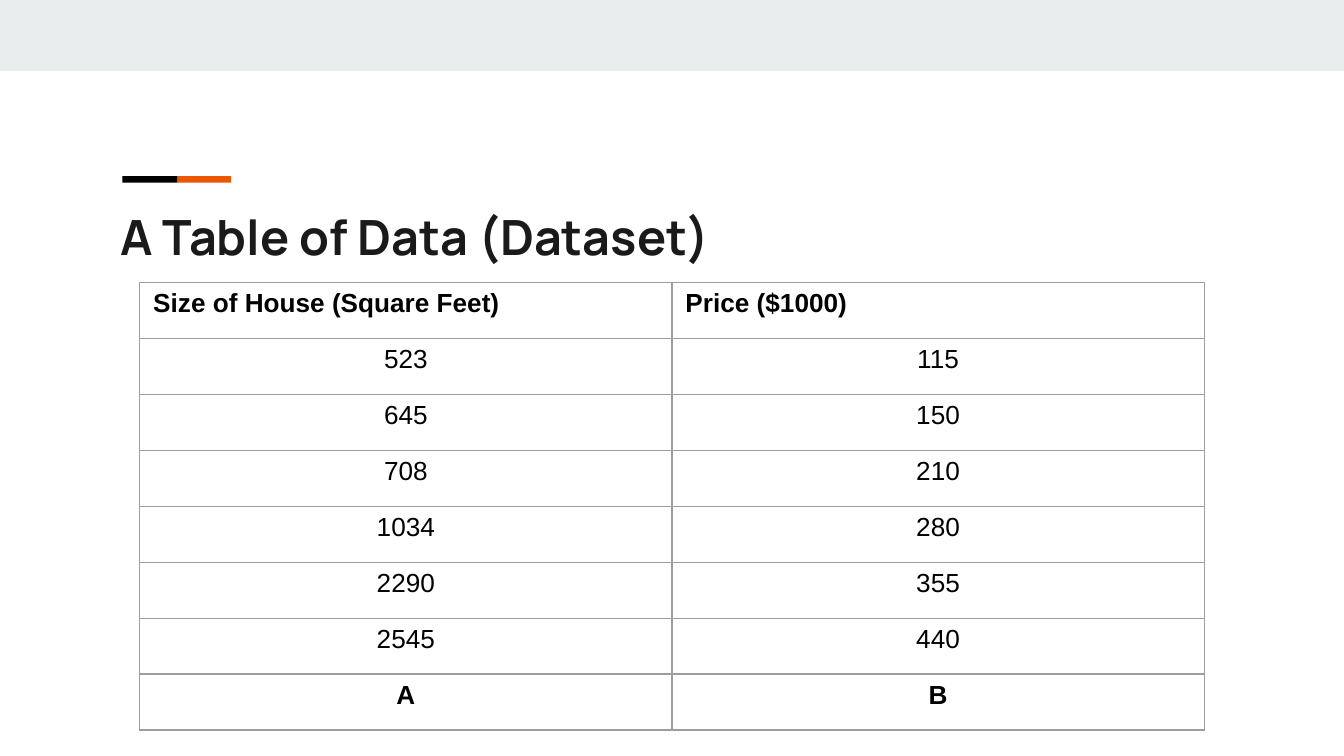
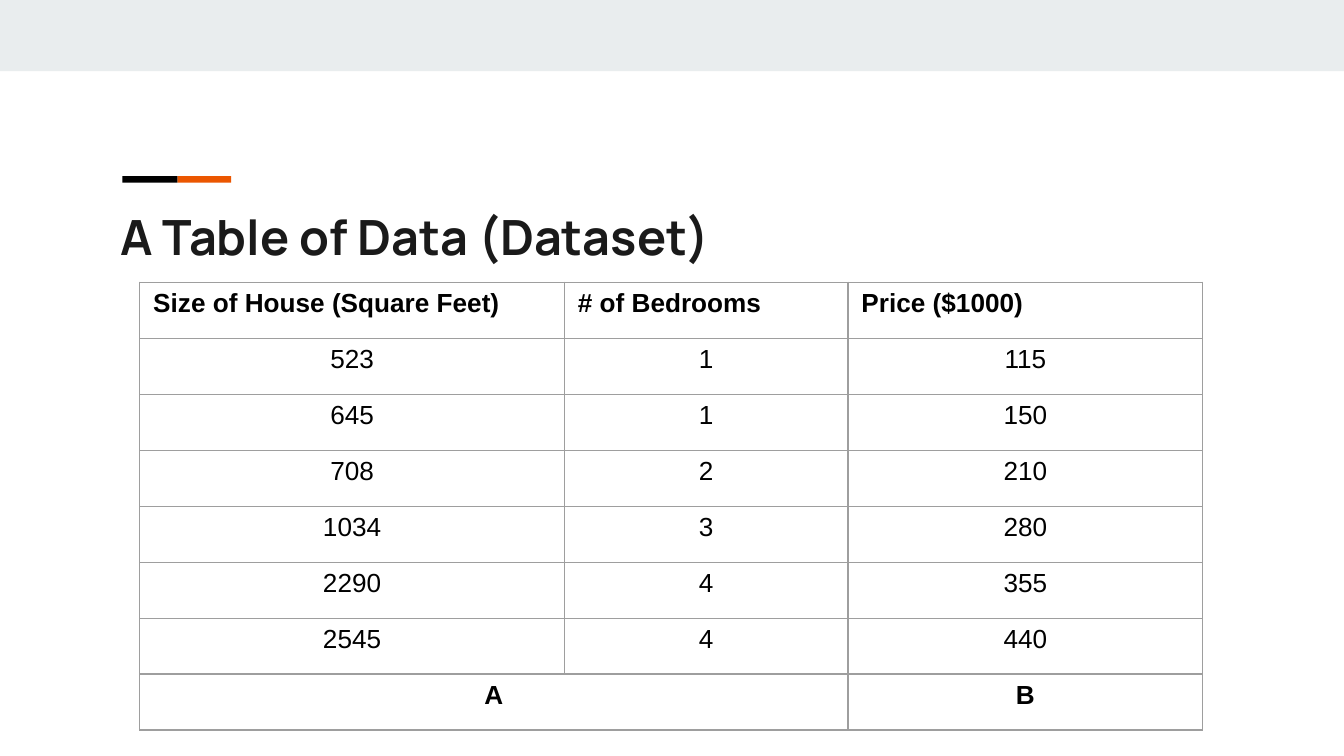
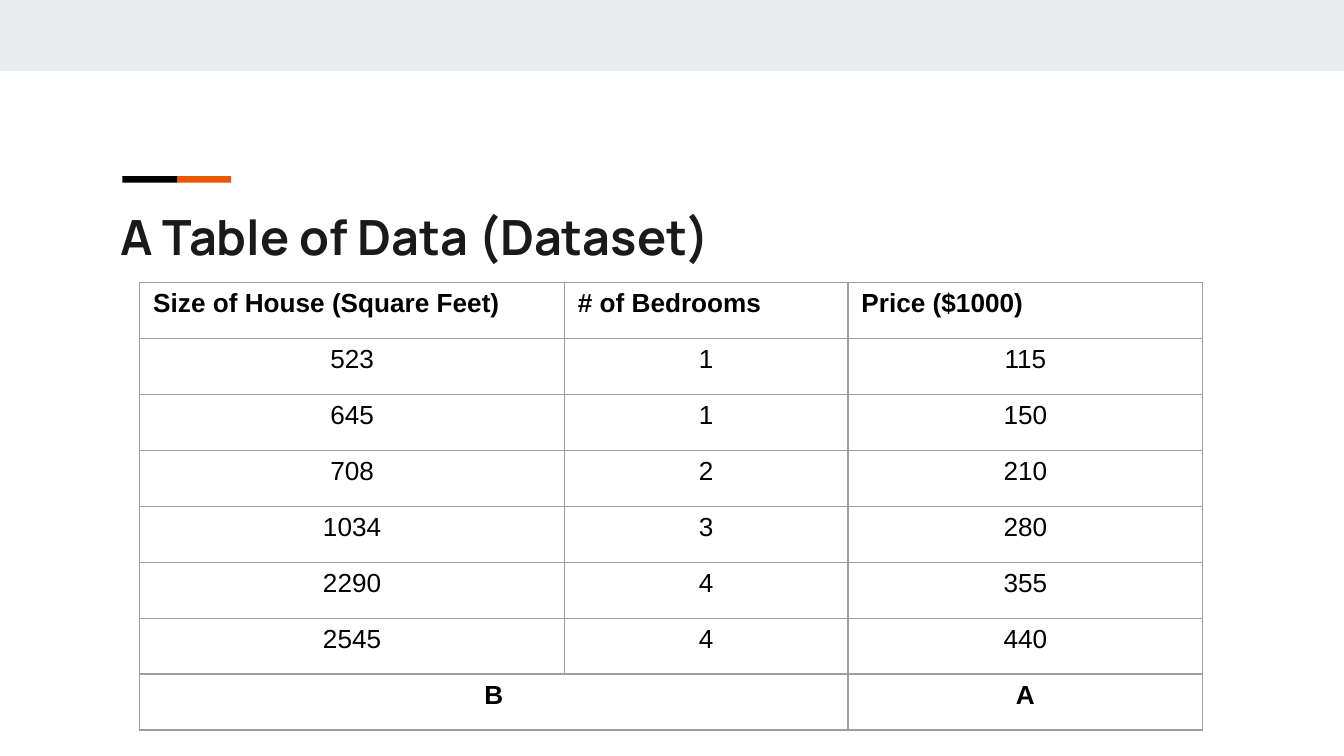
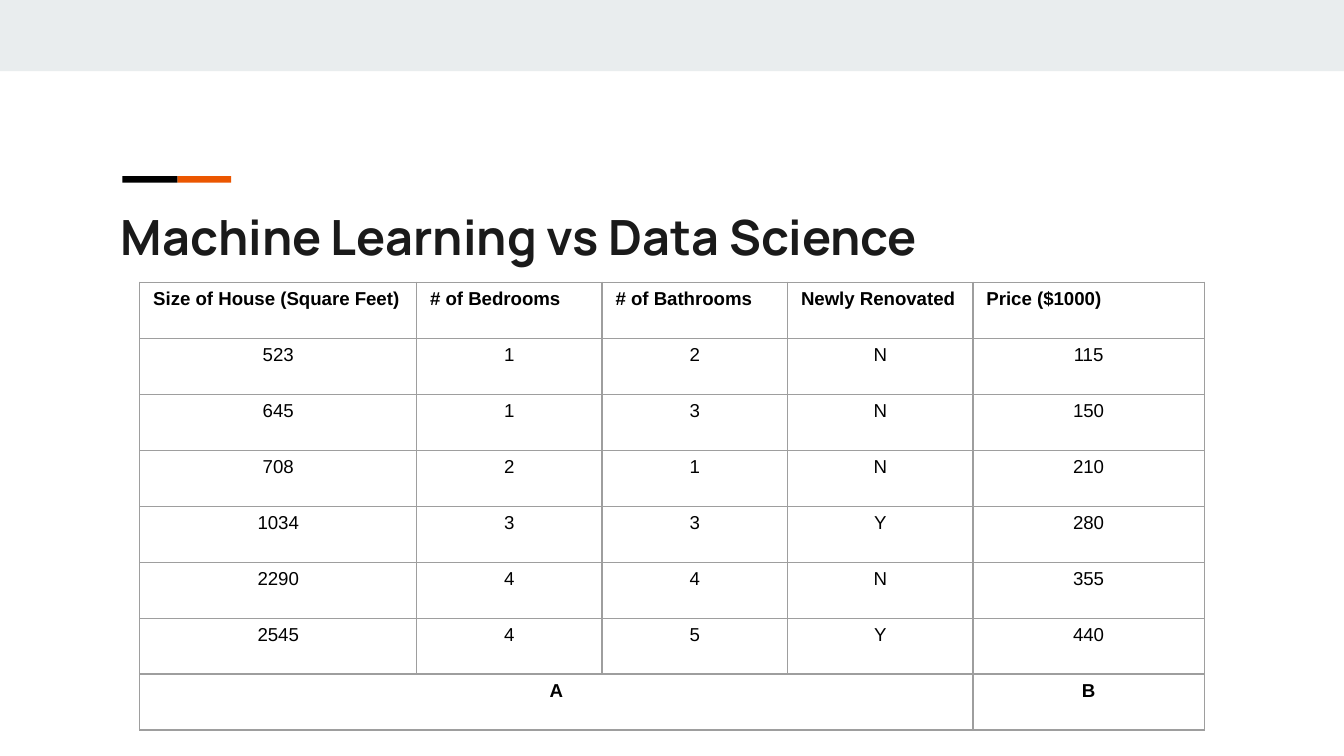
"""Build four slides that tabulate a house price dataset."""
import pptx
import pptx.dml.color
import pptx.enum.shapes
import pptx.enum.text
import pptx.oxml.ns
import pptx.util
from lxml import etree

Inches = pptx.util.Inches
Pt = pptx.util.Pt

COLORS = {
    "band": "E9EDEE",
    "accent": "EB5600",
    "black": "000000",
    "title": "1A1A1A",
    "border": "9E9E9E",
}
TITLE_FONT, TABLE_FONT = "Manrope", "Arial"
TABLE_LEFT, TABLE_TOP, ROW_HEIGHT = 1.04, 2.1, 5 / 12

HOUSES = {
    "Size of House (Square Feet)": ["523", "645", "708", "1034", "2290", "2545"],
    "# of Bedrooms": ["1", "1", "2", "3", "4", "4"],
    "# of Bathrooms": ["2", "3", "1", "3", "4", "5"],
    "Newly Renovated": ["N", "N", "N", "Y", "N", "Y"],
    "Price ($1000)": ["115", "150", "210", "280", "355", "440"],
}
SIZE, BEDROOMS, BATHROOMS, RENOVATED, PRICE = HOUSES

DATASET_TITLE = "A Table of Data (Dataset)"
THREE_COLUMNS = {SIZE: 3.16, BEDROOMS: 2.11, PRICE: 2.64}
SLIDES = [
    (DATASET_TITLE, {SIZE: 3.96, PRICE: 3.96}, ("A", "B"), 14),
    (DATASET_TITLE, THREE_COLUMNS, ("A", "B"), 14),
    (DATASET_TITLE, THREE_COLUMNS, ("B", "A"), 14),
    (
        "Machine Learning vs Data Science",
        {SIZE: 2.06, BEDROOMS: 1.38, BATHROOMS: 1.38, RENOVATED: 1.38, PRICE: 1.72},
        ("A", "B"),
        10,
    ),
]


class DeckBuilder:
    """Hold the shared style and the slide being filled."""

    def __init__(self):
        self.deck = pptx.Presentation()
        self.deck.slide_width = Inches(10)
        self.deck.slide_height = Inches(10 * 9 / 16)
        self.slide = None

    def add_slide(self, title):
        self.slide = self.deck.slides.add_slide(self.deck.slide_layouts[6])
        self.bar(0, 0, 10, 0.53, "band")
        self.bar(1.32, 1.31, 0.4, 0.05, "accent")
        self.bar(0.91, 1.31, 0.41, 0.05, "black")
        self.title(title)

    def bar(self, left, top, width, height, color):
        shape = self.slide.shapes.add_shape(
            pptx.enum.shapes.MSO_SHAPE.RECTANGLE,
            Inches(left), Inches(top), Inches(width), Inches(height),
        )
        shape.shadow.inherit = False
        shape.fill.solid()
        shape.fill.fore_color.rgb = pptx.dml.color.RGBColor.from_string(COLORS[color])
        shape.line.fill.background()

    def span(self, para, text, font, size, color, bold):
        span = para.add_run()
        span.text = text
        span.font.name = font
        span.font.size = Pt(size)
        span.font.bold = bold
        span.font.color.rgb = pptx.dml.color.RGBColor.from_string(COLORS[color])

    def title(self, text):
        box = self.slide.shapes.add_textbox(
            Inches(0.8), Inches(1.44), Inches(8.41), Inches(0.58)
        )
        frame = box.text_frame
        frame.word_wrap = True
        frame.vertical_anchor = pptx.enum.text.MSO_ANCHOR.TOP
        frame.margin_left = frame.margin_right = Inches(0.1)
        frame.margin_top = frame.margin_bottom = Inches(0.1)
        self.span(frame.paragraphs[0], text, TITLE_FONT, 26, "title", True)

    def cell_style(self, cell):
        properties = cell._tc.get_or_add_tcPr()
        qn = pptx.oxml.ns.qn
        for side in ("a:lnL", "a:lnR", "a:lnT", "a:lnB"):
            line = etree.SubElement(properties, qn(side), w=str(Pt(0.75)))
            fill = etree.SubElement(line, qn("a:solidFill"))
            etree.SubElement(fill, qn("a:srgbClr"), val=COLORS["border"])
        cell.fill.background()
        cell.margin_left = cell.margin_right = Inches(0.1)
        cell.margin_top = cell.margin_bottom = Inches(0.05)

    def table(self, widths, labels, size):
        last = len(widths) - 1
        label_row = [labels[0]] + [""] * (last - 1) + [labels[1]]
        rows = [list(widths), *zip(*(HOUSES[name] for name in widths)), label_row]
        table = self.slide.shapes.add_table(
            len(rows), len(widths), Inches(TABLE_LEFT), Inches(TABLE_TOP),
            Inches(sum(widths.values())), Inches(ROW_HEIGHT * len(rows)),
        ).table
        table.first_row = table.horz_banding = False
        for column, width in zip(table.columns, widths.values()):
            column.width = Inches(width)
        for row_index, row in enumerate(rows):
            table.rows[row_index].height = Inches(ROW_HEIGHT)
            for column_index, text in enumerate(row):
                cell = table.cell(row_index, column_index)
                self.cell_style(cell)
                if not text:
                    continue
                para = cell.text_frame.paragraphs[0]
                if row_index > 0:
                    para.alignment = pptx.enum.text.PP_ALIGN.CENTER
                bold = row_index in (0, len(rows) - 1)
                self.span(para, text, TABLE_FONT, size, "black", bold)
        if last > 1:
            bottom = len(rows) - 1
            table.cell(bottom, 0).merge(table.cell(bottom, last - 1))


def main():
    builder = DeckBuilder()
    for title, widths, labels, size in SLIDES:
        builder.add_slide(title)
        builder.table(widths, labels, size)
    builder.deck.save("out.pptx")


if __name__ == "__main__":
    main()
